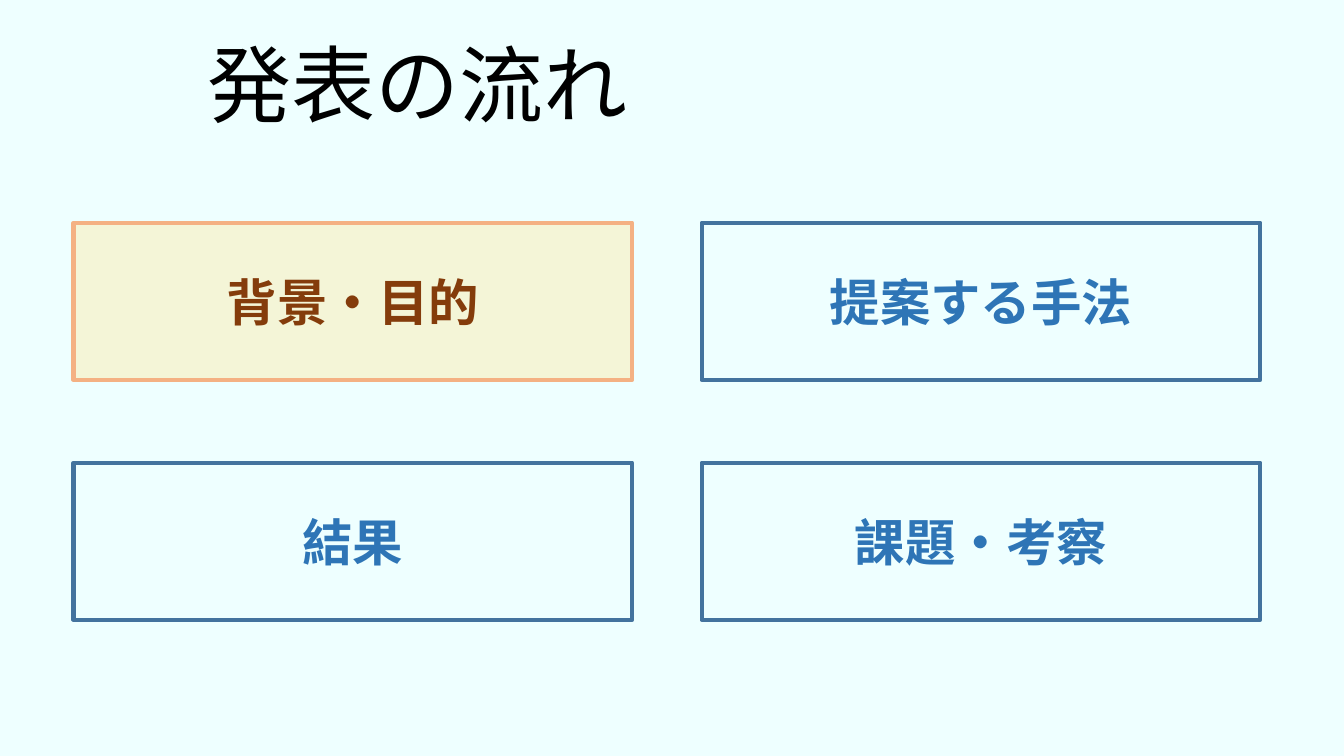
import pptx
import pptx.dml.color
import pptx.enum.shapes
import pptx.enum.text
import pptx.oxml
import pptx.oxml.ns
import pptx.util
from lxml import etree

COLORS = {
    "background": "EEFFFF",
    "title": "000000",
    "current_fill": "FFE699",
    "current_line": "F4B183",
    "current_text": "843C0B",
    "section_line": "43739E",
    "section_text": "2E75B6",
}


class AgendaSlide:
    font = "Noto Sans CJK JP"
    left, top = 0.73, 2.21
    column_step, row_step = 6.23, 2.38
    box_width, box_height = 5.54, 1.56

    def __init__(self, deck):
        self.slide = deck.slides.add_slide(deck.slide_layouts[5])
        background = self.slide.background.fill
        background.solid()
        background.fore_color.rgb = self.color("background")

    def color(self, role):
        return pptx.dml.color.RGBColor.from_string(COLORS[role])

    def add_wording(self, paragraph, wording, size, role, bold=False):
        run = paragraph.add_run()
        run.text = wording
        run.font.size = pptx.util.Pt(size)
        run.font.bold = bold
        run.font.name = self.font
        run.font.color.rgb = self.color(role)
        latin = run._r.rPr.find(pptx.oxml.ns.qn("a:latin"))
        east_asian = etree.Element(pptx.oxml.ns.qn("a:ea"), typeface=self.font)
        latin.addnext(east_asian)

    def title(self, wording):
        heading = self.slide.shapes.title
        heading.left, heading.top, heading.width, heading.height = map(
            pptx.util.Inches, (1.96, 0, 10.54, 1.39)
        )
        frame = heading.text_frame
        frame.word_wrap = True
        frame.auto_size = pptx.enum.text.MSO_AUTO_SIZE.NONE
        frame.vertical_anchor = pptx.enum.text.MSO_ANCHOR.BOTTOM
        paragraph = frame.paragraphs[0]
        paragraph.alignment = pptx.enum.text.PP_ALIGN.LEFT
        paragraph.line_spacing = 0.9
        self.add_wording(paragraph, wording, 60, "title")

    def section(self, wording, column, row, current=False):
        state = "current" if current else "section"
        box = self.slide.shapes.add_shape(
            pptx.enum.shapes.MSO_SHAPE.RECTANGLE,
            pptx.util.Inches(self.left + column * self.column_step),
            pptx.util.Inches(self.top + row * self.row_step),
            pptx.util.Inches(self.box_width),
            pptx.util.Inches(self.box_height),
        )
        box.shadow.inherit = False
        box.line.color.rgb = self.color(f"{state}_line")
        box.line.width = pptx.util.Pt(3)
        if current:
            self.tint(box, "current_fill", 39)
        else:
            box.fill.background()
        frame = box.text_frame
        frame.word_wrap = True
        frame.vertical_anchor = pptx.enum.text.MSO_ANCHOR.MIDDLE
        paragraph = frame.paragraphs[0]
        paragraph.alignment = pptx.enum.text.PP_ALIGN.CENTER
        self.add_wording(paragraph, wording, 36, f"{state}_text", bold=True)

    def tint(self, box, role, opacity):
        box.fill.solid()
        box.fill.fore_color.rgb = self.color(role)
        solid = box._element.spPr.find(pptx.oxml.ns.qn("a:solidFill"))
        etree.SubElement(solid[0], pptx.oxml.ns.qn("a:alpha"), val=str(opacity * 1000))


def main():
    deck = pptx.Presentation()
    deck.slide_width = pptx.util.Inches(13.33)
    deck.slide_height = pptx.util.Inches(7.5)

    agenda = AgendaSlide(deck)
    agenda.title("発表の流れ")
    sections = ["背景・目的", "提案する手法", "結果", "課題・考察"]
    for index, wording in enumerate(sections):
        row, column = divmod(index, 2)
        agenda.section(wording, column, row, current=index == 0)

    deck.save("out.pptx")


if __name__ == "__main__":
    main()
